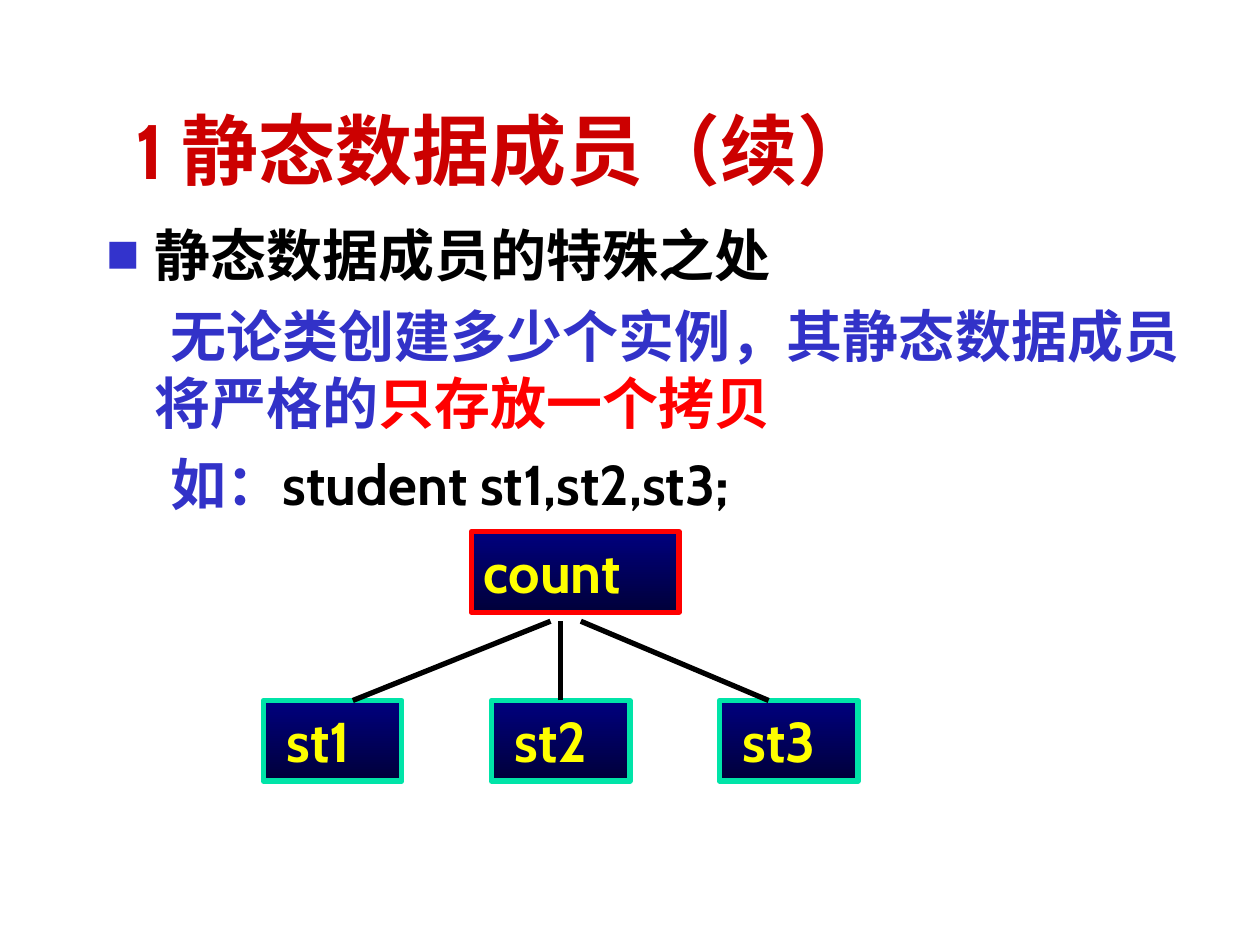
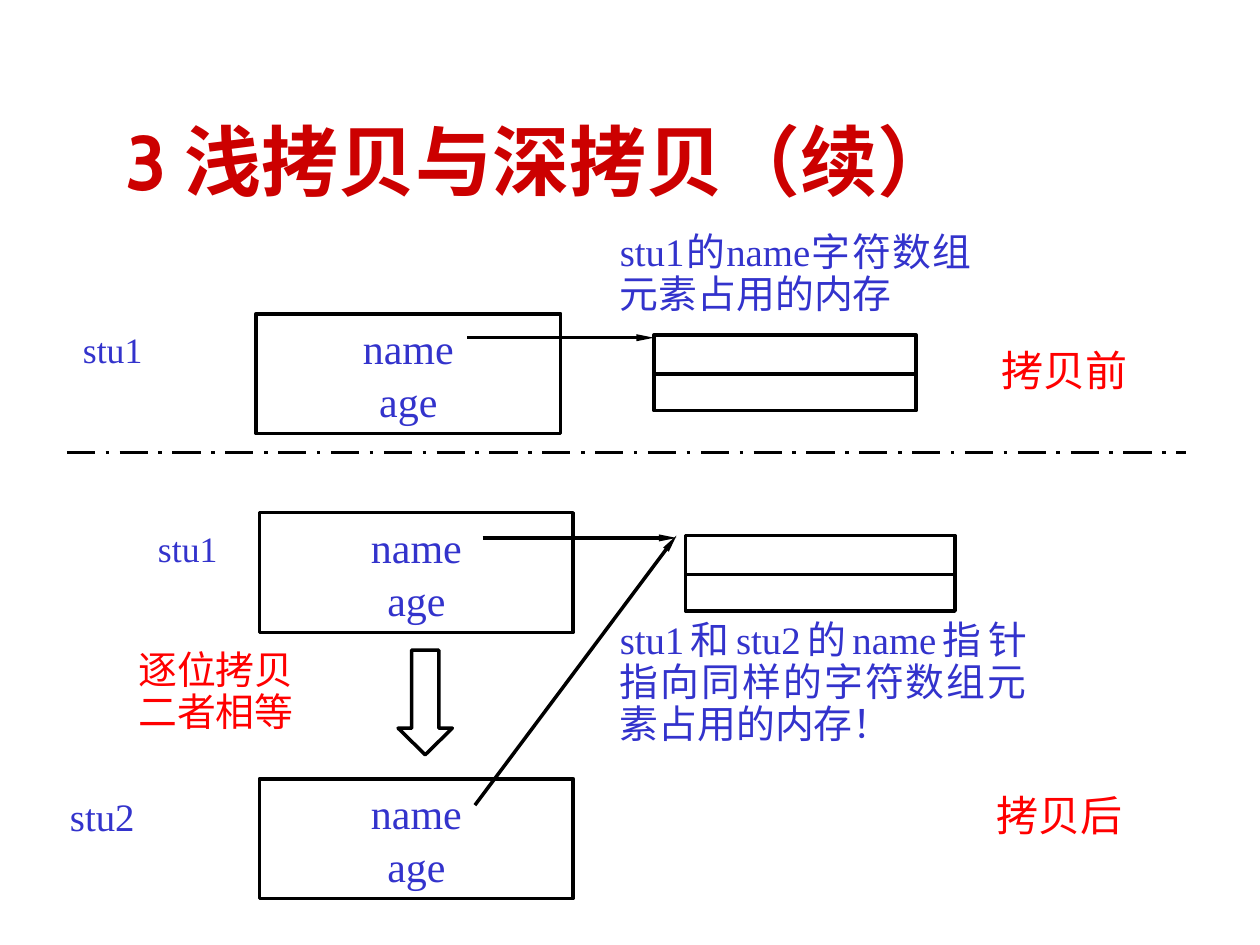
"""Builds two slides on static data members and on shallow versus deep copying."""
from lxml import etree
from pptx import Presentation
from pptx.dml.color import RGBColor
from pptx.enum.dml import MSO_LINE
from pptx.enum.shapes import MSO_CONNECTOR, MSO_SHAPE
from pptx.enum.text import MSO_ANCHOR, PP_ALIGN
from pptx.oxml.ns import qn
from pptx.util import Pt

TITLE_RED = RGBColor(0xCC, 0x00, 0x00)
RED = RGBColor(0xFF, 0x00, 0x00)
BLUE = RGBColor(0x33, 0x33, 0xCC)
BODY_BLUE = RGBColor(0x32, 0x32, 0xC8)
BLACK = RGBColor(0x00, 0x00, 0x00)
YELLOW = RGBColor(0xFF, 0xFF, 0x00)
TEAL = RGBColor(0x00, 0xE4, 0xA8)
NAVY = RGBColor(0x00, 0x00, 0x7E)
DEEP_NAVY = RGBColor(0x00, 0x00, 0x3A)

HEADING_FACE = "Cabin"
LABEL_FACE = "Times New Roman"
CHINESE_FACE = "Noto Sans CJK SC"


def draw_box(page, bounds, lines, size, face=LABEL_FACE, align=PP_ALIGN.LEFT,
             spacing=1.0, before=0, inset=(0, 0), border=None, weight=2):
    """Draw a text box or a bordered rectangle; each line is a list of (text, colour)."""
    bounds = [Pt(length) for length in bounds]
    if border is None:
        box = page.shapes.add_textbox(*bounds)
    else:
        box = page.shapes.add_shape(MSO_SHAPE.RECTANGLE, *bounds)
        box.shadow.inherit = False
        box.fill.background()
        box.line.color.rgb = border
        box.line.width = Pt(weight)
    frame = box.text_frame
    frame.word_wrap = True
    frame.vertical_anchor = MSO_ANCHOR.TOP
    frame.margin_left = frame.margin_right = Pt(inset[0])
    frame.margin_top = frame.margin_bottom = Pt(inset[1])
    for index, line in enumerate(lines):
        para = frame.add_paragraph() if index else frame.paragraphs[0]
        para.alignment = align
        para.line_spacing = spacing
        para.space_before = Pt(before)
        for text, color in line:
            span = para.add_run()
            span.text = text
            span.font.size = Pt(size)
            span.font.bold = face == HEADING_FACE
            span.font.color.rgb = color
            span.font.name = face
            etree.SubElement(span.font._element, qn("a:ea"), typeface=CHINESE_FACE)
    return box


def draw_line(page, start, end, weight=2, arrow=False, dash=None):
    """Draw a straight black line, with an arrowhead at its end if wanted."""
    points = [Pt(length) for length in (*start, *end)]
    line = page.shapes.add_connector(MSO_CONNECTOR.STRAIGHT, *points)
    line.line.color.rgb = BLACK
    line.line.width = Pt(weight)
    if dash is not None:
        line.line.dash_style = dash
    properties = line._element.spPr
    if arrow:
        etree.SubElement(properties.find(qn("a:ln")), qn("a:tailEnd"),
                         type="triangle", w="sm", len="lg")
    etree.SubElement(properties, qn("a:effectLst"))


deck = Presentation()
deck.slide_width = Pt(720)
deck.slide_height = Pt(540)

pages = []
for title, left, top in (("1 静态数据成员（续）", 70.6, 43.2),
                         ("3 浅拷贝与深拷贝（续）", 64.8, 49)):
    page = deck.slides.add_slide(deck.slide_layouts[6])
    box = draw_box(page, (left, top, 613.4, 72), [[(title, TITLE_RED)]], 44,
                   HEADING_FACE, inset=(7.2, 3.6))
    box.text_frame.vertical_anchor = MSO_ANCHOR.BOTTOM
    pages.append(page)
member_page, copy_page = pages

body = draw_box(member_page, (54, 122.4, 650.9, 187.2), [
    [("静态数据成员的特殊之处", BLACK)],
    [("无论类创建多少个实例，其静态数据成员将严格的", BODY_BLUE), ("只存放一个拷贝", RED)],
    [("如：", BODY_BLUE), ("student st1,st2,st3;", BLACK)],
], 32, HEADING_FACE, before=8, inset=(7.2, 3.6))
for para, indent in zip(body.text_frame.paragraphs, (-27, 9.5, 9.5)):
    settings = para._p.get_or_add_pPr()
    settings.set("marL", str(Pt(27)))
    settings.set("indent", str(Pt(indent)))
bullet = body.text_frame.paragraphs[0]._p.get_or_add_pPr()
bullet_color = etree.SubElement(bullet, qn("a:buClr"))
etree.SubElement(bullet_color, qn("a:srgbClr"), val=str(BLUE))
etree.SubElement(bullet, qn("a:buSzPct"), val="60000")
etree.SubElement(bullet, qn("a:buFont"), typeface=CHINESE_FACE)
etree.SubElement(bullet, qn("a:buChar"), char="■")

object_boxes = [(f"st{number + 1}", 150.5 + 130.3 * number, 400.3, 79.2, TEAL, 13.4)
                for number in range(3)]
for name, left, top, width, border, inset in [("count", 269.3, 303.8, 118.8, RED, 7.2),
                                              *object_boxes]:
    box = draw_box(member_page, (left, top, width, 46.1), [[(name, YELLOW)]], 32,
                   HEADING_FACE, inset=(inset, 3.6), border=border, weight=3)
    box.text_frame.margin_right = Pt(0)
    box.fill.gradient()
    box.fill.gradient_angle = 270
    for stop, color in zip(box.fill.gradient_stops, (NAVY, DEEP_NAVY)):
        stop.color.rgb = color

for object_x, count_x in ((201.6, 314.6), (320.4, 320.4), (439.2, 331.9)):
    draw_line(member_page, (object_x, 400.3), (count_x, 355), weight=3)

for left, top, width in ((146.2, 179.3, 174.2), (148.3, 293, 179.3), (148.3, 445, 179.3)):
    box = draw_box(copy_page, (left, top, width, 68.4), [[("name", BLUE)], [("age", BLUE)]],
                   24, align=PP_ALIGN.CENTER, before=1.3, inset=(0, 3.6), border=BLACK)
    box.text_frame.margin_top = Pt(5)

for left, top, width in ((373.7, 191.5, 149.8), (391.7, 306, 154.1)):
    draw_box(copy_page, (left, top, width, 43.2), [], 24, border=BLACK)
    draw_line(copy_page, (left, top + 22.3), (left + width, top + 22.3))

for name, left, top, size in (("stu1", 47.4, 190, 20.4), ("stu1", 90.3, 304, 20.4),
                              ("stu2", 40, 456, 22.2)):
    draw_box(copy_page, (left, top, 50, 26), [[(name, BLUE)]], size, spacing=0.9)

for note, top, width, height in (
        ("stu1的name字符数组元素占用的内存", 133.2, 200.9, 55.4),
        ("stu1和stu2的name指针指向同样的字符数组元素占用的内存！", 355, 232.6, 102.2)):
    draw_box(copy_page, (354.2, top, width, height), [[(note, BLUE)]], 22.2,
             align=PP_ALIGN.JUSTIFY, spacing=0.9)

for stage, left, top in (("拷贝前", 532.8, 196.6), ("拷贝后", 529.9, 451.4)):
    draw_box(copy_page, (left, top, 150.5, 31), [[(stage, RED)]], 24,
             align=PP_ALIGN.CENTER, inset=(7.2, 0))

draw_box(copy_page, (48.2, 372.2, 150.5, 56.9), [[("逐位拷贝", RED)], [("二者相等", RED)]],
         22.2, align=PP_ALIGN.CENTER, spacing=0.9, inset=(7.2, 0))

for start, end in (((267.1, 193), (373.7, 193)),
                   ((275.8, 307.4), (386.6, 307.4)),
                   ((271.4, 460.1), (386.6, 306))):
    draw_line(copy_page, start, end, arrow=True)
draw_line(copy_page, (38.2, 258.5), (677.5, 258.5), dash=MSO_LINE.LONG_DASH_DOT)

copy_arrow = copy_page.shapes.add_shape(MSO_SHAPE.DOWN_ARROW, Pt(227.5), Pt(371.5), Pt(31), Pt(59.8))
copy_arrow.shadow.inherit = False
copy_arrow.fill.background()
copy_arrow.line.color.rgb = BLACK
copy_arrow.line.width = Pt(2)
copy_arrow.adjustments[0] = 0.5
copy_arrow.adjustments[1] = 0.49

deck.save("out.pptx")
